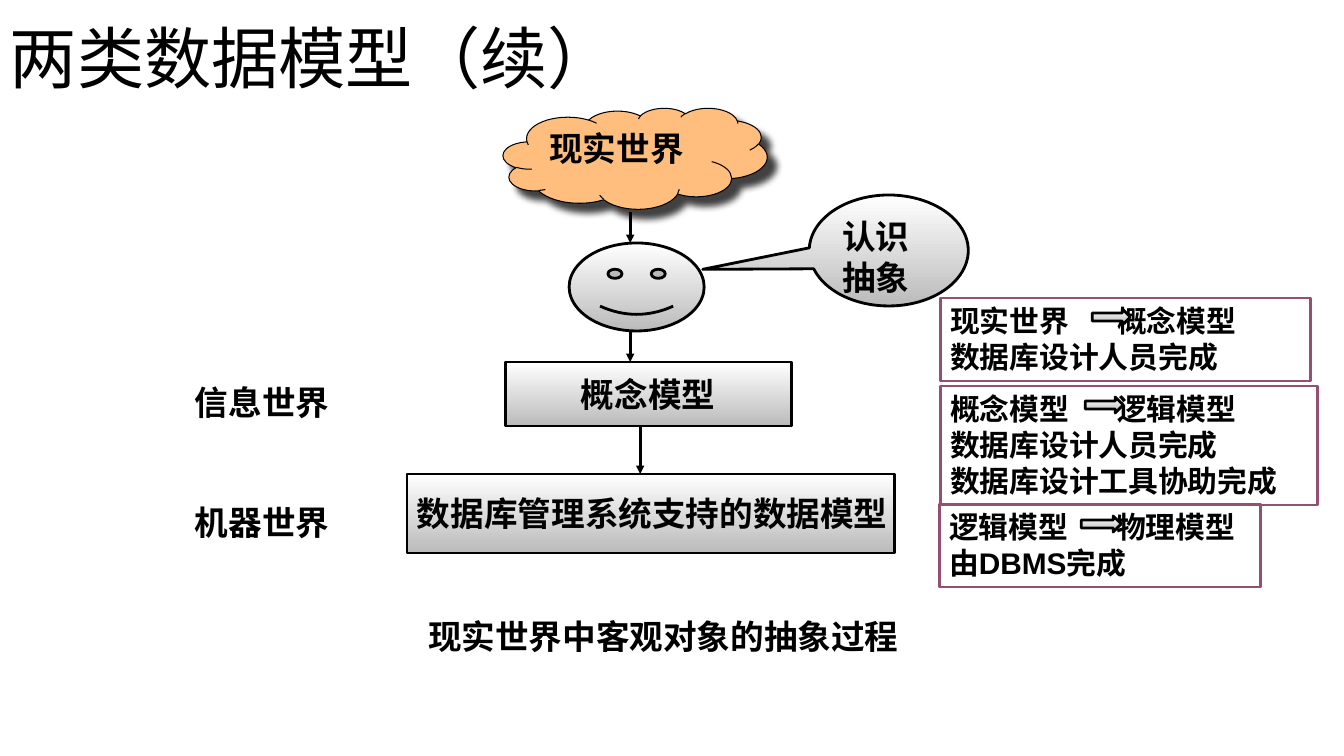
"""Build the slide on the two kinds of data model."""
from typing import NamedTuple, Optional
import lxml.etree
import pptx
import pptx.dml.color
import pptx.enum.shapes
import pptx.enum.text
import pptx.oxml
import pptx.oxml.ns
import pptx.util

SCALE = 914400 / 100.8
INK = {"black": "000000", "white": "FFFFFF", "grey": "BBBBBB",
       "cloud": "FFBE7D", "plum": "954F72"}
KIND = pptx.enum.shapes.MSO_SHAPE
ALIGN = pptx.enum.text.PP_ALIGN
MID = pptx.enum.text.MSO_ANCHOR.MIDDLE
TOP = pptx.enum.text.MSO_ANCHOR.TOP
NS = 'xmlns:a="http://schemas.openxmlformats.org/drawingml/2006/main"'
GAP = 167


class Box(NamedTuple):
    """Hold a rectangle in pixels."""
    left: int
    top: int
    width: int
    height: int


class Style(NamedTuple):
    """Hold the look of a text."""
    size: float = 24
    font: str = "Arial"
    bold: bool = True
    align: Optional[ALIGN] = None
    anchor: MID = TOP
    wrap: bool = True
    space: Optional[float] = None


class Form(NamedTuple):
    """Hold a filled shape."""
    kind: KIND
    box: Box
    text: str = ""
    style: Style = Style()
    tweaks: tuple[float, ...] = ()
    fill: str = "grey"
    width: float = 2


class Label(NamedTuple):
    """Hold a plain text."""
    box: Box
    text: str
    style: Style = Style()


class Note(NamedTuple):
    """Hold a framed note and the arrow in its first line."""
    box: Box
    text: str
    arrow: Box


class Link(NamedTuple):
    """Hold a downward arrow."""
    left: int
    top: int
    end: int


TITLE = Label(Box(0, -11, 1159, 146), "两类数据模型（续）",
              Style(48, "Noto Sans CJK SC", False, anchor=MID, space=0.9))
LABELS = [
    Label(Box(185, 377, 157, 50), "信息世界"),
    Label(Box(185, 497, 157, 50), "机器世界"),
    Label(Box(418, 611, 498, 50), "现实世界中客观对象的抽象过程"),
]
FORMS = [
    Form(KIND.RECTANGLE, Box(407, 474, 487, 79), "数据库管理系统支持的数据模型",
         Style(anchor=MID, wrap=False)),
    Form(KIND.RECTANGLE, Box(505, 362, 286, 64), "概念模型",
         Style(align=ALIGN.CENTER, anchor=MID, wrap=False)),
    Form(KIND.SMILEY_FACE, Box(569, 243, 135, 88), tweaks=(0.05,)),
    Form(KIND.OVAL_CALLOUT, Box(809, 195, 159, 111), "认识\n抽象",
         tweaks=(-1.17, 0.17)),
]
CLOUD = Form(KIND.CLOUD, Box(503, 108, 264, 101), "现实世界",
             fill="cloud", width=0.75)
LINKS = [Link(630, 212, 243), Link(630, 331, 362), Link(640, 426, 474)]
NOTES = [
    Note(Box(940, 298, 370, 83), "现实世界\t概念模型\n数据库设计人员完成",
         Box(1092, 309, 38, 16)),
    Note(Box(939, 504, 321, 83), "逻辑模型\t物理模型\n由DBMS完成",
         Box(1081, 516, 40, 16)),
    Note(Box(940, 386, 377, 119),
         "概念模型\t逻辑模型\n数据库设计人员完成\n数据库设计工具协助完成",
         Box(1085, 397, 38, 16)),
]


def emu(size: float) -> int:
    """Turn pixels into EMU."""
    return round(size * SCALE)


def tint(name: str) -> pptx.dml.color.RGBColor:
    """Look up a colour."""
    return pptx.dml.color.RGBColor.from_string(INK[name])


def write(shape, text: str, style: Style) -> None:
    """Put styled text into a shape."""
    frame = shape.text_frame
    frame.text = text
    frame.word_wrap = style.wrap
    frame.vertical_anchor = style.anchor
    for line in frame.paragraphs:
        line.alignment = style.align or ALIGN.LEFT
        line.line_spacing = style.space
        if "\t" in line.text:
            line._p.get_or_add_pPr().append(pptx.oxml.parse_xml(
                f'<a:tabLst {NS}><a:tab pos="{emu(GAP)}" algn="l"/></a:tabLst>'))
        for run in line.runs:
            run.font.size = pptx.util.Pt(style.size)
            run.font.name = style.font
            run.font.bold = style.bold
            run.font.color.rgb = tint("black")
            east = lxml.etree.SubElement(run._r.rPr, pptx.oxml.ns.qn("a:ea"))
            east.set("typeface", style.font)


def label(slide, item: Label) -> None:
    """Draw a plain text."""
    write(slide.shapes.add_textbox(*map(emu, item.box)), item.text, item.style)


def form(slide, item: Form):
    """Draw a filled shape and return it."""
    shape = slide.shapes.add_shape(item.kind, *map(emu, item.box))
    shape.shadow.inherit = False
    for spot, value in enumerate(item.tweaks):
        shape.adjustments[spot] = value
    if item.fill == "grey":
        shape.fill.gradient()
        shape.fill.gradient_angle = 270
        for stop, name in zip(shape.fill.gradient_stops, ("white", "grey")):
            stop.color.rgb = tint(name)
    else:
        shape.fill.solid()
        shape.fill.fore_color.rgb = tint(item.fill)
    shape.line.color.rgb = tint("black")
    shape.line.width = pptx.util.Pt(item.width)
    if item.text:
        write(shape, item.text, item.style)
    return shape


def shade(shape) -> None:
    """Give a shape a soft shadow to the lower right."""
    cast = pptx.oxml.parse_xml(
        f'<a:outerShdw {NS} blurRad="63500" dist="107950" dir="2700000">'
        f'<a:srgbClr val="{INK["black"]}"><a:alpha val="75000"/></a:srgbClr>'
        '</a:outerShdw>')
    shape._element.spPr.find(pptx.oxml.ns.qn("a:effectLst")).append(cast)


def link(slide, item: Link) -> None:
    """Draw a downward arrow."""
    line = slide.shapes.add_connector(
        pptx.enum.shapes.MSO_CONNECTOR.STRAIGHT,
        *map(emu, (item.left, item.top, item.left, item.end)))
    line.line.color.rgb = tint("black")
    line.line.width = pptx.util.Pt(2)
    tip = lxml.etree.SubElement(line.line._ln, pptx.oxml.ns.qn("a:tailEnd"))
    tip.set("type", "triangle")
    lxml.etree.SubElement(line._element.spPr, pptx.oxml.ns.qn("a:effectLst"))


def note(slide, item: Note) -> None:
    """Draw a framed note with its arrow."""
    frame = slide.shapes.add_shape(KIND.RECTANGLE, *map(emu, item.box))
    frame.shadow.inherit = False
    frame.fill.background()
    frame.line.color.rgb = tint("plum")
    frame.line.width = pptx.util.Pt(2)
    write(frame, item.text, Style(21.3))
    form(slide, Form(KIND.RIGHT_ARROW, item.arrow, tweaks=(0.5, 0.5)))


def main() -> None:
    """Build and save the slide."""
    deck = pptx.Presentation()
    deck.slide_width = pptx.util.Inches(13.33)
    deck.slide_height = pptx.util.Inches(7.5)
    slide = deck.slides.add_slide(deck.slide_layouts[6])
    label(slide, TITLE)
    for item in FORMS:
        form(slide, item)
    for item in LABELS:
        label(slide, item)
    shade(form(slide, CLOUD))
    for item in LINKS:
        link(slide, item)
    for item in NOTES:
        note(slide, item)
    deck.save("out.pptx")


main()
